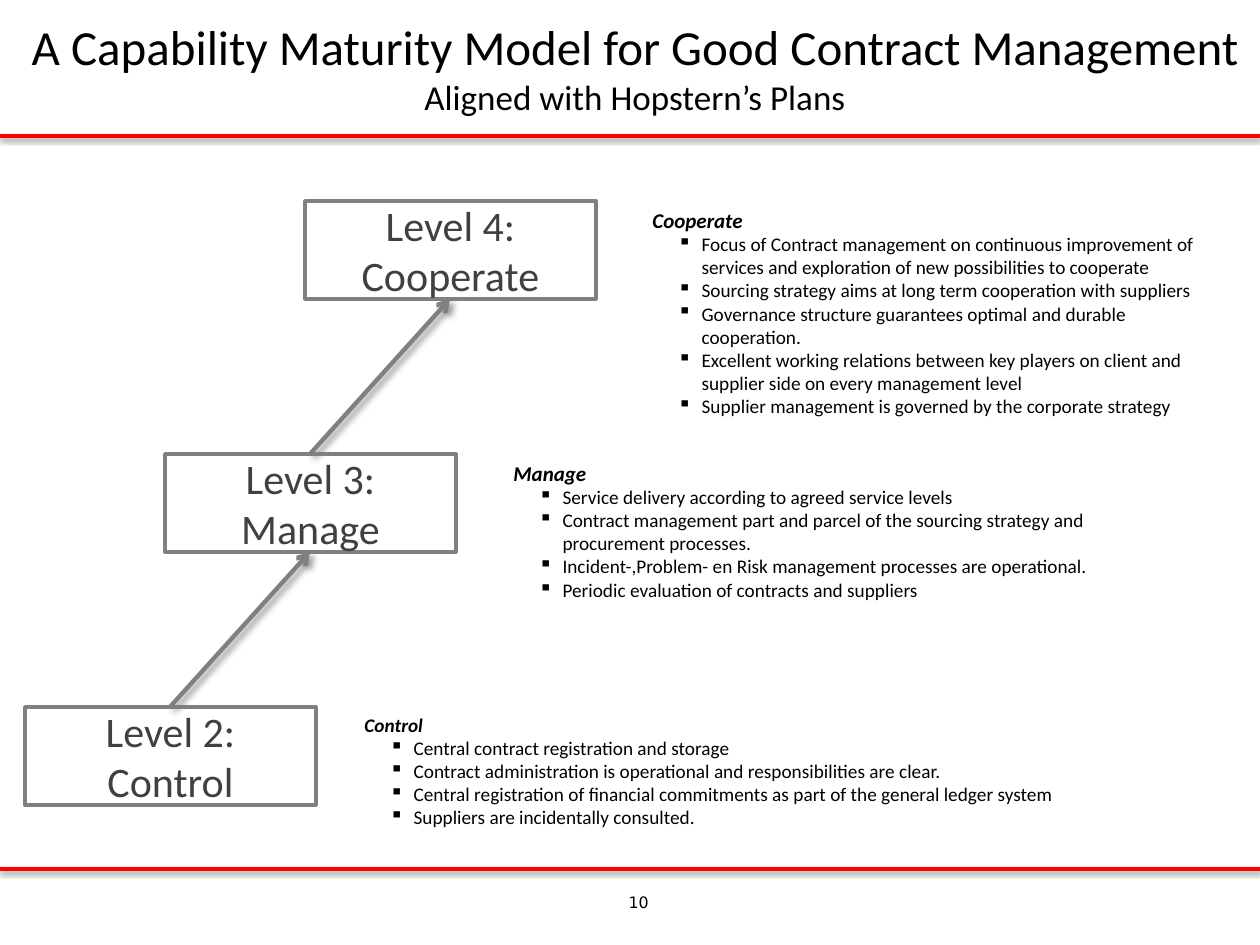
from lxml import etree
from pptx import Presentation
from pptx import util as u
from pptx.dml.color import RGBColor
from pptx.enum import shapes, text
from pptx.oxml.ns import qn

SCALE = 914400 / 126  # EMU per px
WIDTH, HEIGHT = 1260, 945
BOX_WIDTH, BOX_HEIGHT = 291, 98
FIRST_LEFT, FIRST_TOP = 25, 707
STEP_RIGHT, STEP_UP = 140, 253
RED, GRAY, DARK, BLACK = "FF0000", "808080", "404040", "000000"

# name, heading size, left and size of the description, its points
LEVELS = [
    ("Control", 11, (352, 774, 129), [
        "Central contract registration and storage",
        "Contract administration is operational and responsibilities are clear.",
        "Central registration of financial commitments as part of the general ledger system",
        "Suppliers are incidentally consulted.",
    ]),
    ("Manage", 12, (501, 665, 155), [
        "Service delivery according to agreed service levels",
        "Contract management part and parcel of the sourcing strategy and procurement processes.",
        "Incident-,Problem- en Risk management processes are operational.",
        "Periodic evaluation of contracts and suppliers",
    ]),
    ("Cooperate", 12, (640, 596, 223), [
        "Focus of Contract management on continuous improvement of services and "
        "exploration of new possibilities to cooperate",
        "Sourcing strategy aims at long term cooperation with suppliers",
        "Governance structure guarantees optimal and durable cooperation.",
        "Excellent working relations between key players on client and "
        "supplier side on every management level",
        "Supplier management is governed by the corporate strategy",
    ]),
]


def px(*lengths):
    return [u.Emu(round(length * SCALE)) for length in lengths]


def color(value):
    return RGBColor.from_string(value)


def style(font, size, value=BLACK, name="Calibri"):
    font.name, font.size = name, u.Pt(size)
    font.color.rgb = color(value)


def add_line(slide, start, end, value, width, blur, distance, angle, alpha):
    """Draw a straight line with a soft shadow; blur and distance in points."""
    line = slide.shapes.add_connector(shapes.MSO_CONNECTOR.STRAIGHT, *px(*start, *end))
    line.line.color.rgb = color(value)
    line.line.width = u.Pt(width)
    effects = etree.SubElement(line._element.spPr, qn("a:effectLst"))
    shadow = etree.SubElement(effects, qn("a:outerShdw"), blurRad=str(u.Pt(blur)),
                              dist=str(u.Pt(distance)), dir=str(angle * 60000),
                              rotWithShape="0")
    shade = etree.SubElement(shadow, qn("a:srgbClr"), val=BLACK)
    etree.SubElement(shade, qn("a:alpha"), val=str(alpha * 1000))
    return line


def add_arrow(slide, start, end):
    arrow = add_line(slide, start, end, GRAY, 2.5, 4, 3, 45, 43)
    etree.SubElement(arrow.line._get_or_add_ln(), qn("a:tailEnd"), type="arrow")


def add_title(slide, box, heading, subtitle):
    title = slide.shapes.title
    title.left, title.top, title.width, title.height = px(*box)
    frame = title.text_frame
    frame.auto_size = text.MSO_AUTO_SIZE.NONE
    frame.vertical_anchor = text.MSO_ANCHOR.MIDDLE
    paragraph = frame.paragraphs[0]
    paragraph.alignment = text.PP_ALIGN.CENTER
    first = paragraph.add_run()
    first.text = heading
    style(first.font, 28)
    paragraph.add_line_break()
    second = paragraph.add_run()
    second.text = subtitle
    style(second.font, 20)


def add_level_box(slide, box, number, name):
    shape = slide.shapes.add_shape(shapes.MSO_SHAPE.RECTANGLE, *px(*box))
    shape.shadow.inherit = False
    shape.fill.background()
    shape.line.color.rgb = color(GRAY)
    shape.line.width = u.Pt(2)
    frame = shape.text_frame
    frame.vertical_anchor = text.MSO_ANCHOR.MIDDLE
    frame.text = f"Level {number}:\n{name}"
    for paragraph in frame.paragraphs:
        paragraph.alignment = text.PP_ALIGN.CENTER
        style(paragraph.font, 24, DARK)


def add_description(slide, box, heading, heading_size, points):
    frame = slide.shapes.add_textbox(*px(*box)).text_frame
    frame.word_wrap = True
    frame.auto_size = text.MSO_AUTO_SIZE.SHAPE_TO_FIT_TEXT
    title = frame.paragraphs[0]
    title.text = heading
    style(title.font, heading_size)
    title.font.bold = title.font.italic = True
    for point in points:
        paragraph = frame.add_paragraph()
        paragraph.text = point
        paragraph.level = 1
        properties = paragraph._p.get_or_add_pPr()
        properties.set("marL", str(u.Inches(0.39)))
        properties.set("indent", str(u.Inches(-0.19)))
        etree.SubElement(properties, qn("a:buChar"), char="▪")
        style(paragraph.font, 11)


def add_page_number(slide, box, number):
    frame = slide.shapes.add_textbox(*px(*box)).text_frame
    frame.word_wrap = True
    paragraph = frame.paragraphs[0]
    paragraph.text = str(number)
    paragraph.alignment = text.PP_ALIGN.RIGHT
    style(paragraph.font, 9, name="DejaVu Sans")


def add_staircase(slide, left, top):
    """Climb from the lowest level, whose box has the given corner."""
    corners = [(left + i * STEP_RIGHT, top - i * STEP_UP) for i in range(len(LEVELS))]
    half = BOX_WIDTH // 2
    for (x, y), (next_x, next_y) in zip(corners, corners[1:]):
        add_arrow(slide, (x + half, y), (next_x + half, next_y + BOX_HEIGHT))
    for number, ((x, y), level) in enumerate(zip(corners, LEVELS), start=2):
        name, heading_size, (text_left, width, height), points = level
        add_level_box(slide, (x, y, BOX_WIDTH, BOX_HEIGHT), number, name)
        add_description(slide, (text_left, y, width, height), name, heading_size, points)


def main():
    presentation = Presentation()
    presentation.slide_width, presentation.slide_height = px(WIDTH, HEIGHT)
    slide = presentation.slides.add_slide(presentation.slide_layouts.get_by_name("Title Only"))
    for y in (136, 869):
        add_line(slide, (0, y), (WIDTH, y), RED, 2, 3.1, 1.6, 90, 38)
    add_title(slide, (5, 13, WIDTH, 108),
              "A Capability Maturity Model for Good Contract Management",
              "Aligned with Hopstern’s Plans")
    add_staircase(slide, FIRST_LEFT, FIRST_TOP)
    add_page_number(slide, (599, 887, 62, 62), 10)
    presentation.save("out.pptx")


if __name__ == "__main__":
    main()
